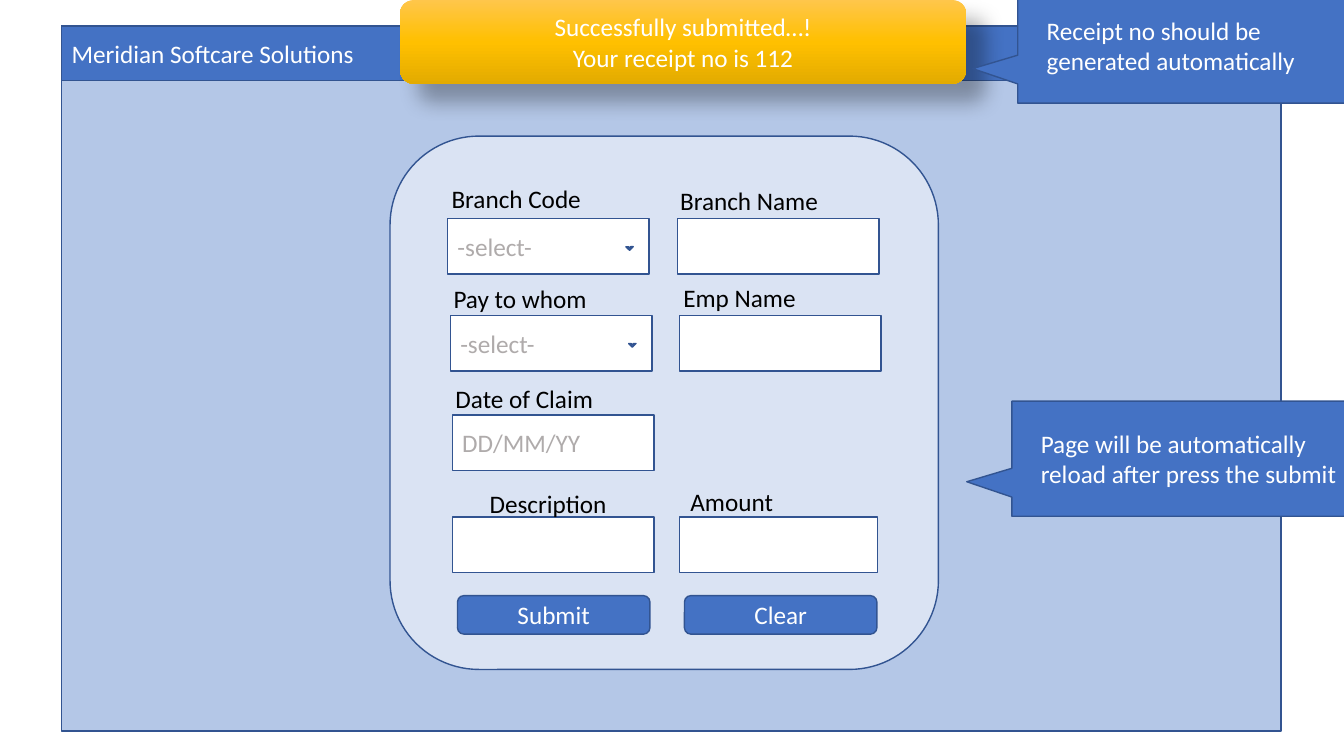
from copy import deepcopy
from lxml import etree
from pptx import Presentation
from pptx import util as u
from pptx.dml.color import RGBColor
from pptx.enum import shapes as s, text as t
from pptx.oxml.ns import qn

BLUE, EDGE, WHITE, GREY = "4472C4", "325491", "FFFFFF", "AFABAB"
KIND = s.MSO_SHAPE


def style(shape, fill=None, line=None, words="", ink=WHITE, align=t.PP_ALIGN.LEFT):
    """Set fill, outline and text of a shape from hex colours."""
    if fill:
        shape.fill.solid()
        shape.fill.fore_color.rgb = RGBColor.from_string(fill)
    if line:
        shape.line.color.rgb = RGBColor.from_string(line)
        shape.line.width = u.Pt(1)
    frame = shape.text_frame
    frame.word_wrap = True
    frame.auto_size = t.MSO_AUTO_SIZE.NONE
    if not words:
        return
    frame.text = words
    for para in frame.paragraphs:
        para.alignment = align
        para.font.size = u.Pt(18)
        para.font.name = "Calibri"
        para.font.color.rgb = RGBColor.from_string(ink)


def add(kind, box, fill=None, line=EDGE, words="", **look):
    """Add a flat preset shape at a box given in centimetres."""
    shape = slide.shapes.add_shape(kind, *map(u.Cm, box))
    shape.shadow.inherit = False
    style(shape, fill, line, words, **look)
    shape.text_frame.vertical_anchor = t.MSO_ANCHOR.MIDDLE
    return shape


deck = Presentation()
deck.slide_width, deck.slide_height = u.Cm(33.87), u.Cm(19.05)
slide = deck.slides.add_slide(deck.slide_layouts[5])

# Page and title bar
page = add(KIND.RECTANGLE, (1.55, 0.64, 30.73, 17.78), "B4C7E7")
bar = slide.shapes.title
bar.left, bar.top, bar.width, bar.height = map(u.Cm, (1.55, 0.66, 30.73, 1.37))
style(bar, BLUE, EDGE, "Meridian Softcare Solutions")
bar.text_frame.vertical_anchor = t.MSO_ANCHOR.MIDDLE
page.element.addnext(bar.element)

# Success banner with gradient and shadow
banner = add(KIND.ROUNDED_RECTANGLE, (10.08, 0, 14.27, 2.11), line=None,
             words="Successfully submitted…!\nYour receipt no is 112",
             align=t.PP_ALIGN.CENTER)
banner.line.fill.background()
banner.fill.gradient()
banner.fill.gradient_angle = 270
stops = banner.element.spPr.find(".//" + qn("a:gsLst"))
stops.append(deepcopy(stops[0]))
for stop, place, tone in zip(banner.fill.gradient_stops, (0, 0.5, 1),
                             ("FFC64B", "FFC000", "E3AB00")):
    stop.position = place
    stop.color.rgb = RGBColor.from_string(tone)
glow = etree.SubElement(banner.element.spPr.find(qn("a:effectLst")), qn("a:outerShdw"),
                        blurRad=str(u.Pt(15)), dist=str(u.Pt(18)),
                        dir="2700000", algn="ctr", rotWithShape="0")
black = etree.SubElement(glow, qn("a:srgbClr"), val="000000")
etree.SubElement(black, qn("a:alpha"), val="30000")

# Callouts
for left, top, note in (
        (25.5, 10.11, "Page will be automatically reload after press the submit"),
        (25.65, -0.3, "Receipt no should be generated automatically")):
    call = add(KIND.RECTANGULAR_CALLOUT, (left, top, 9.09, 2.9), BLUE, words=note)
    call.adjustments[0], call.adjustments[1] = -0.625, 0.2
    call.text_frame.margin_left = u.Cm(0.73)

# Form: label, label place, field place, field width, hint
add(KIND.ROUNDED_RECTANGLE, (9.83, 3.43, 13.82, 13.44), "DAE3F3")
fields = (
    ("Branch Code", 11.13, 4.5, 11.28, 5.51, 5.08, "-select-"),
    ("Branch Name", 16.89, 4.55, 17.07, 5.51, 5.08, ""),
    ("Pay to whom", 11.18, 7.01, 11.35, 7.95, 5.08, "-select-"),
    ("Emp Name", 16.97, 6.99, 17.12, 7.95, 5.08, ""),
    ("Date of Claim", 11.23, 9.53, 11.4, 10.46, 5.08, "DD/MM/YY"),
    ("Description", 12.09, 12.19, 11.4, 13.03, 5.08, ""),
    ("Amount", 17.15, 12.14, 17.12, 13.03, 5, ""),
)
for name, x, y, left, top, wide, hint in fields:
    add(KIND.RECTANGLE, (left, top, wide, 1.4), WHITE, words=hint, ink=GREY)
    label = slide.shapes.add_textbox(*map(u.Cm, (x, y, 4.78, 1.02)))
    style(label, words=name, ink="000000")
    if hint == "-select-":
        arrow = add(KIND.HALF_FRAME, (left + 4.52, top + 0.64, 0.13, 0.13), BLUE)
        arrow.rotation = 224.6

for left, name in ((11.53, "Submit"), (17.25, "Clear")):
    add(KIND.ROUNDED_RECTANGLE, (left, 15.01, 4.85, 0.97), BLUE, words=name,
        align=t.PP_ALIGN.CENTER)

deck.save("out.pptx")
